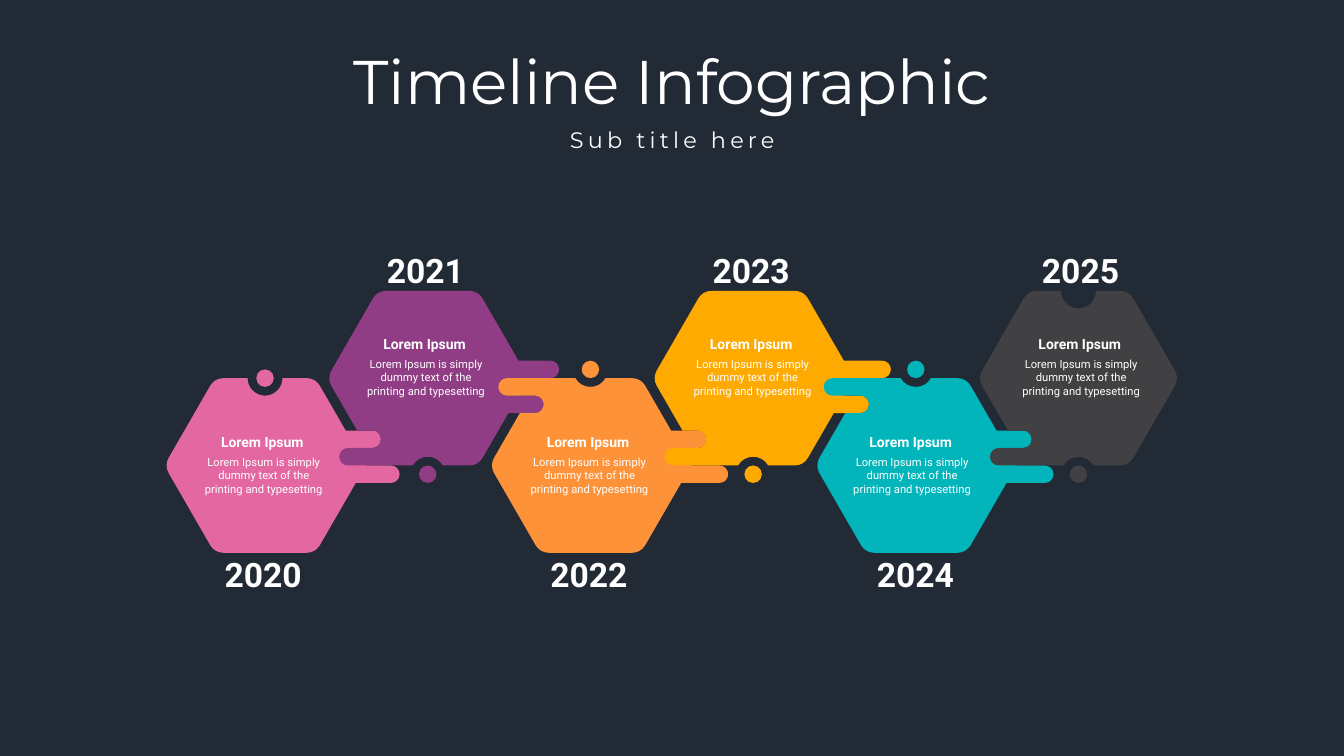
import math
from dataclasses import dataclass

from lxml import etree
from pptx import Presentation
from pptx.dml.color import RGBColor
from pptx.enum.shapes import MSO_SHAPE
from pptx.enum.text import MSO_AUTO_SIZE, PP_ALIGN
from pptx.oxml.ns import qn
from pptx.util import Cm, Pt

OVAL = MSO_SHAPE.OVAL
LEFT = PP_ALIGN.LEFT
CENTER = PP_ALIGN.CENTER
GROW = MSO_AUTO_SIZE.SHAPE_TO_FIT_TEXT
FIXED = MSO_AUTO_SIZE.NONE

WHITE = "FFFFFF"
NAVY = "222A35"
HEADING = "Lorem Ipsum"
BODY = "Lorem Ipsum is simply dummy text of the printing and typesetting"

UNIT = 0.44
HALF_HEIGHT = 5 * UNIT
RADIUS = HALF_HEIGHT * 2 / math.sqrt(3)
CORNER = 0.38
FIRST_CENTER = 6.68
PITCH = 4.1
SHORT_FINGER = 2.92
SOCKET = -1.18


@dataclass(frozen=True)
class Vertex:
    x: float
    y: float
    radius: float = 0


@dataclass(frozen=True)
class Row:
    middle: float
    flip: int
    heading_top: float
    year_top: float
    left_finger: float


@dataclass(frozen=True)
class Step:
    year: str
    color: str
    row: Row
    label_center: float
    year_center: float
    long_finger: float = 3.47


LOW = Row(11.73, 1, 10.8, 13.84, -2.32)
HIGH = Row(9.53, -1, 8.33, 6.17, -2.23)
STEPS = [
    Step("2020", "E368A1", LOW, 6.63, 6.64, 3.39),
    Step("2021", "903D85", HIGH, 10.72, 10.73, 3.31),
    Step("2022", "FE9239", LOW, 14.84, 14.85),
    Step("2023", "FFAA01", HIGH, 18.95, 18.94),
    Step("2024", "01B5BB", LOW, 22.97, 23.08),
    Step("2025", "414143", HIGH, 27.23, 27.24),
]


def rgb(color: str) -> RGBColor:
    return RGBColor.from_string(color)


def add_text(slide, text: str, left: float, top: float, width: float, height: float, *,
             size: float, font: str = "Roboto", bold: bool = False, align=CENTER,
             wrap: bool = True, fit=GROW, line_spacing: float = 1.0,
             tracking: float = 0) -> None:
    frame = slide.shapes.add_textbox(Cm(left), Cm(top), Cm(width), Cm(height)).text_frame
    frame.word_wrap = wrap
    frame.auto_size = fit
    paragraph = frame.paragraphs[0]
    paragraph.alignment = align
    paragraph.line_spacing = line_spacing
    run = paragraph.add_run()
    run.text = text
    run.font.name = font
    run.font.size = Pt(size)
    run.font.bold = bold
    run.font.color.rgb = rgb(WHITE)
    if tracking:
        run._r.get_or_add_rPr().set("spc", str(int(tracking * 100)))


def paint(shape, color: str) -> None:
    shape.shadow.inherit = False
    shape.fill.solid()
    shape.fill.fore_color.rgb = rgb(color)
    shape.line.fill.background()


def side_x(level: float) -> float:
    return RADIUS - abs(level) * UNIT / math.sqrt(3)


def finger(tip: float, start: float, end: float) -> list[Vertex]:
    return [Vertex(tip, start * UNIT, UNIT / 2), Vertex(tip, end * UNIT, UNIT / 2)]


def deep_notch(side: int) -> list[Vertex]:
    edge, floor = side * HALF_HEIGHT, side * 4 * UNIT
    return [Vertex(side * UNIT, edge), Vertex(side * UNIT, floor, UNIT),
            Vertex(-side * UNIT, floor, UNIT), Vertex(-side * UNIT, edge)]


def shallow_notch() -> list[Vertex]:
    half = UNIT * math.sqrt(3) / 2
    return [Vertex(-half, -HALF_HEIGHT), Vertex(0, -3.5 * UNIT, UNIT),
            Vertex(half, -HALF_HEIGHT)]


def outline(step: Step, is_first: bool, is_last: bool) -> list[Vertex]:
    half = RADIUS / 2
    vertices = deep_notch(-1) if is_first else shallow_notch()
    vertices.append(Vertex(half, -HALF_HEIGHT, CORNER))
    if is_last:
        vertices.append(Vertex(RADIUS, 0, CORNER))
    else:
        vertices += [Vertex(side_x(-2), -2 * UNIT), *finger(SHORT_FINGER, -2, -1),
                     Vertex(side_x(-1), -UNIT), Vertex(side_x(0), 0),
                     *finger(step.long_finger, 0, 1), Vertex(side_x(1), UNIT)]
    vertices.append(Vertex(half, HALF_HEIGHT, CORNER))
    if is_last:
        vertices += deep_notch(1)
    vertices += [Vertex(-half, HALF_HEIGHT, CORNER), Vertex(-RADIUS, 0, CORNER)]
    if is_first:
        vertices.append(Vertex(-half, -HALF_HEIGHT, CORNER))
    else:
        vertices += [Vertex(-side_x(-3), -3 * UNIT), *finger(SOCKET, -3, -4),
                     *finger(step.row.left_finger, -4, -5)]
    return vertices


def round_corner(before: Vertex, corner: Vertex, after: Vertex) -> list[tuple[float, float]]:
    if not corner.radius:
        return [(corner.x, corner.y)]
    back = math.atan2(before.y - corner.y, before.x - corner.x)
    ahead = math.atan2(after.y - corner.y, after.x - corner.x)
    opening = abs(math.remainder(ahead - back, math.tau))
    tangent = corner.radius / math.tan(opening / 2)
    control = tangent - corner.radius * 4 / 3 * math.tan((math.pi - opening) / 4)
    return [(corner.x + reach * math.cos(angle), corner.y + reach * math.sin(angle))
            for angle, reach in ((back, tangent), (back, control),
                                 (ahead, control), (ahead, tangent))]


def bend(segment, controls: list[tuple[int, int]], left: int, top: int) -> None:
    segment.tag = qn("a:cubicBezTo")
    for i, (x, y) in enumerate(controls):
        point = etree.Element(qn("a:pt"), x=str(x - left), y=str(y - top))
        segment.insert(i, point)


def add_piece(slide, step: Step, center: float, vertices: list[Vertex]) -> None:
    points = []
    curves = {}
    for i, corner in enumerate(vertices):
        after = vertices[(i + 1) % len(vertices)]
        entry, *rest = [(Cm(center + x), Cm(step.row.middle + step.row.flip * y))
                        for x, y in round_corner(vertices[i - 1], corner, after)]
        points.append(entry)
        if rest:
            curves[len(points) - 1] = rest[:2]
            points.append(rest[2])
    builder = slide.shapes.build_freeform(*points[0])
    builder.add_line_segments(points[1:], close=True)
    piece = builder.convert_to_shape()
    segments = list(piece._element.iter(qn("a:lnTo")))
    for index, controls in curves.items():
        bend(segments[index], controls, piece.left, piece.top)
    paint(piece, step.color)


def add_dot(slide, step: Step, center: float, is_first: bool) -> None:
    offset = HALF_HEIGHT if is_first else HALF_HEIGHT + UNIT / 2
    middle = step.row.middle - step.row.flip * offset
    paint(slide.shapes.add_shape(OVAL, Cm(center - UNIT / 2), Cm(middle - UNIT / 2),
                                 Cm(UNIT), Cm(UNIT)), step.color)


def add_labels(slide, step: Step) -> None:
    row = step.row
    add_text(slide, HEADING, step.label_center - 1.33, row.heading_top, 2.62, 0.69,
             size=10, bold=True, wrap=False)
    add_text(slide, BODY, step.label_center - 1.76, row.heading_top + 0.55, 3.56, 1.27, size=8)
    add_text(slide, step.year, step.year_center - 1.23, row.year_top, 2.46, 1.27,
             size=24, bold=True, align=LEFT, wrap=False)


def main() -> None:
    presentation = Presentation()
    presentation.slide_width = Cm(33.87)
    presentation.slide_height = Cm(19.05)
    slide = presentation.slides.add_slide(presentation.slide_layouts[6])
    slide.background.fill.solid()
    slide.background.fill.fore_color.rgb = rgb(NAVY)
    add_text(slide, "Timeline Infographic", 1.75, 1.17, 30.38, 1.96, size=44,
             font="Montserrat", fit=FIXED, line_spacing=0.9)
    add_text(slide, "Sub title here", 8.08, 3.12, 17.73, 0.89, size=16,
             font="Montserrat", fit=FIXED, line_spacing=0.9, tracking=3)
    for i, step in enumerate(STEPS):
        is_first, is_last = i == 0, i == len(STEPS) - 1
        center = FIRST_CENTER + i * PITCH
        add_piece(slide, step, center, outline(step, is_first, is_last))
        add_dot(slide, step, center, is_first)
    for step in STEPS:
        add_labels(slide, step)
    presentation.save("out.pptx")


if __name__ == "__main__":
    main()
